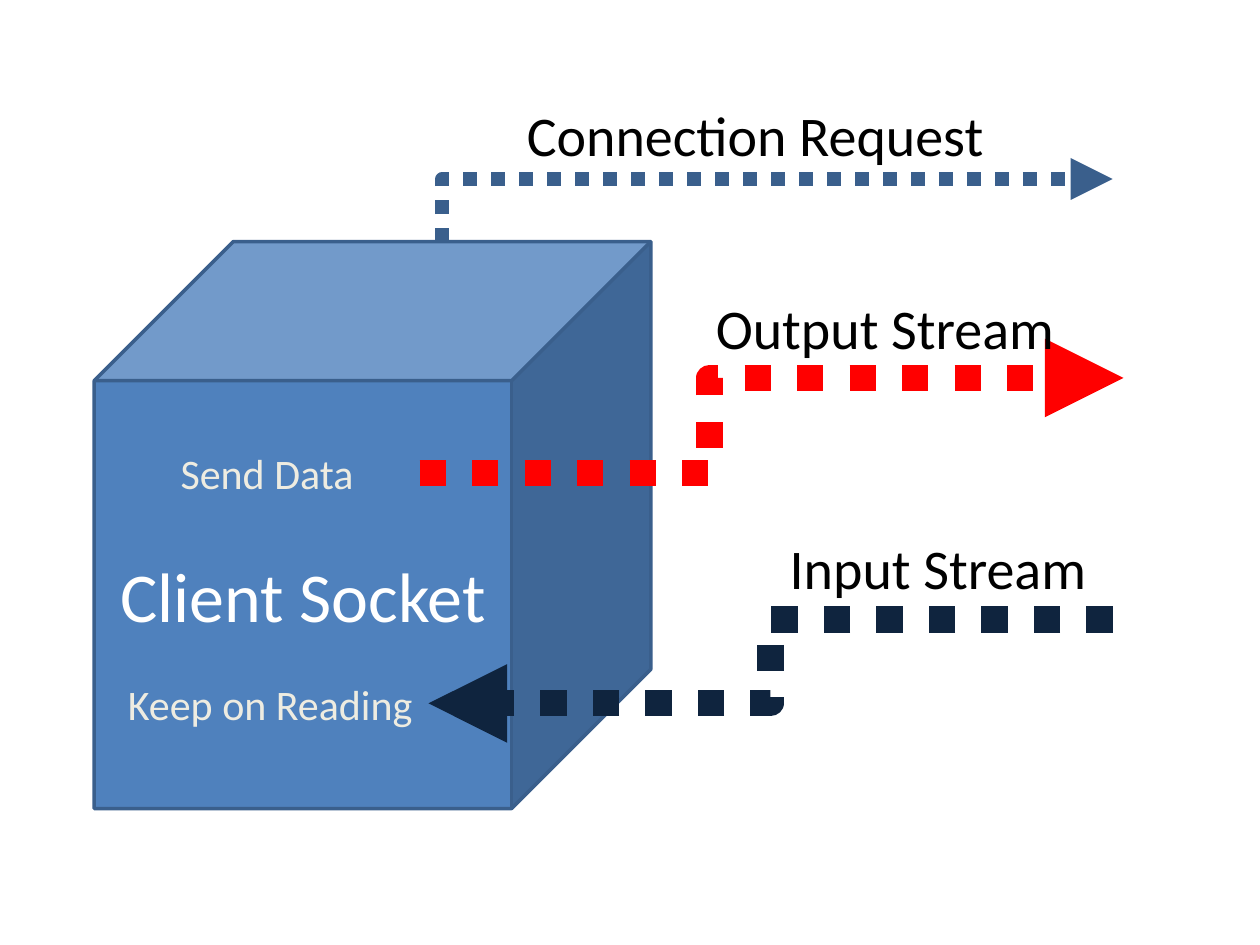
"""Build a slide of a client socket with its request, output and input streams."""
from lxml.etree import SubElement
from pptx import Presentation
from pptx.dml.color import RGBColor
from pptx.enum.shapes import MSO_CONNECTOR as LINK, MSO_SHAPE as SHAPE
from pptx.enum.text import MSO_ANCHOR as ANCHOR, MSO_AUTO_SIZE as FIT, PP_ALIGN as ALIGN
from pptx.oxml.ns import qn
from pptx.util import Cm, Pt

WHITE = RGBColor(0xFF, 0xFF, 0xFF)
BLACK = RGBColor(0, 0, 0)
CREAM = RGBColor(0xEE, 0xEC, 0xE1)
BLUE = RGBColor(0x4F, 0x81, 0xBD)
EDGE = RGBColor(0x3A, 0x5F, 0x8C)
RED = RGBColor(0xFF, 0, 0)
NAVY = RGBColor(0x0F, 0x24, 0x3E)


def write(frame, text, size, color):
    para = frame.paragraphs[0]
    run = para.add_run()
    run.text = text
    for key, value in {"name": "Calibri", "size": Pt(size)}.items():
        setattr(run.font, key, value)
    run.font.color.rgb = color
    return para


def link(ends, color, width, kind, turn=0, bend=None):
    arrow = slide.shapes.add_connector(LINK.ELBOW, *map(Cm, ends))
    arrow.line.color.rgb = color
    arrow.line.width = Pt(width)
    props = arrow._element.spPr
    props.find(qn("a:xfrm")).set("rot", str(turn * 60000))
    geom = props.find(qn("a:prstGeom"))
    geom.set("prst", kind)
    if bend:
        SubElement(geom.find(qn("a:avLst")), qn("a:gd"), name="adj1", fmla=f"val {bend}")
    ln = props.find(qn("a:ln"))
    SubElement(ln, qn("a:prstDash"), val="sysDot")
    SubElement(ln, qn("a:tailEnd"), type="triangle")
    SubElement(props, qn("a:effectLst"))


deck = Presentation()
deck.slide_width, deck.slide_height = Cm(25.4), Cm(19.05)
slide = deck.slides.add_slide(deck.slide_layouts[6])

cube = slide.shapes.add_shape(SHAPE.CUBE, Cm(1.9), Cm(4.87), Cm(11.22), Cm(11.43))
cube.shadow.inherit = False
cube.fill.solid()
cube.fill.fore_color.rgb = BLUE
cube.line.color.rgb = EDGE
cube.line.width = Pt(2)
cube.text_frame.vertical_anchor = ANCHOR.MIDDLE
write(cube.text_frame, "Client Socket", 40, WHITE).alignment = ALIGN.CENTER

link((8.46, 9.53, 22.65, 7.62), RED, 15, "bentConnector3", bend=41200)
link((22.43, 12.49, 8.64, 14.18), NAVY, 15, "bentConnector3", bend=50000)
link((16.31, 11, 15.04, -2.51), EDGE, 8, "bentConnector2", turn=90)

labels = [
    ("Output Stream", 14.18, 5.79, 7.42, 32, BLACK),
    ("Input Stream", 15.67, 10.64, 6.55, 32, BLACK),
    ("Keep on Reading", 2.33, 13.55, 6.3, 24, CREAM),
    ("Send Data", 3.39, 8.89, 4.04, 24, CREAM),
    ("Connection Request", 10.37, 1.9, 10.19, 32, BLACK),
]
for text, left, top, width, size, color in labels:
    height = 1.63 if size == 32 else 1.27
    frame = slide.shapes.add_textbox(Cm(left), Cm(top), Cm(width), Cm(height)).text_frame
    for key, value in {"word_wrap": False, "auto_size": FIT.SHAPE_TO_FIT_TEXT}.items():
        setattr(frame, key, value)
    write(frame, text, size, color)

deck.save("out.pptx")
